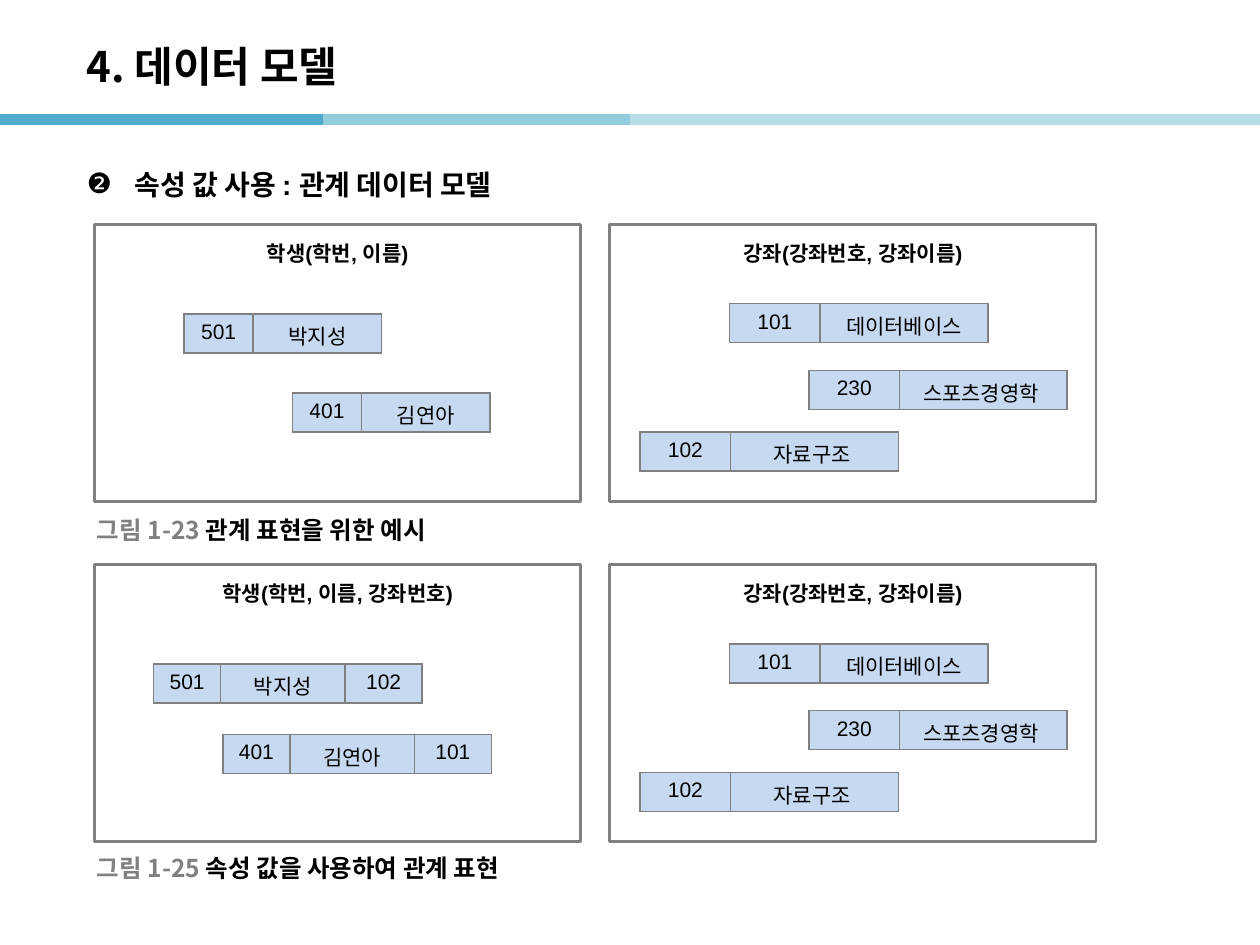
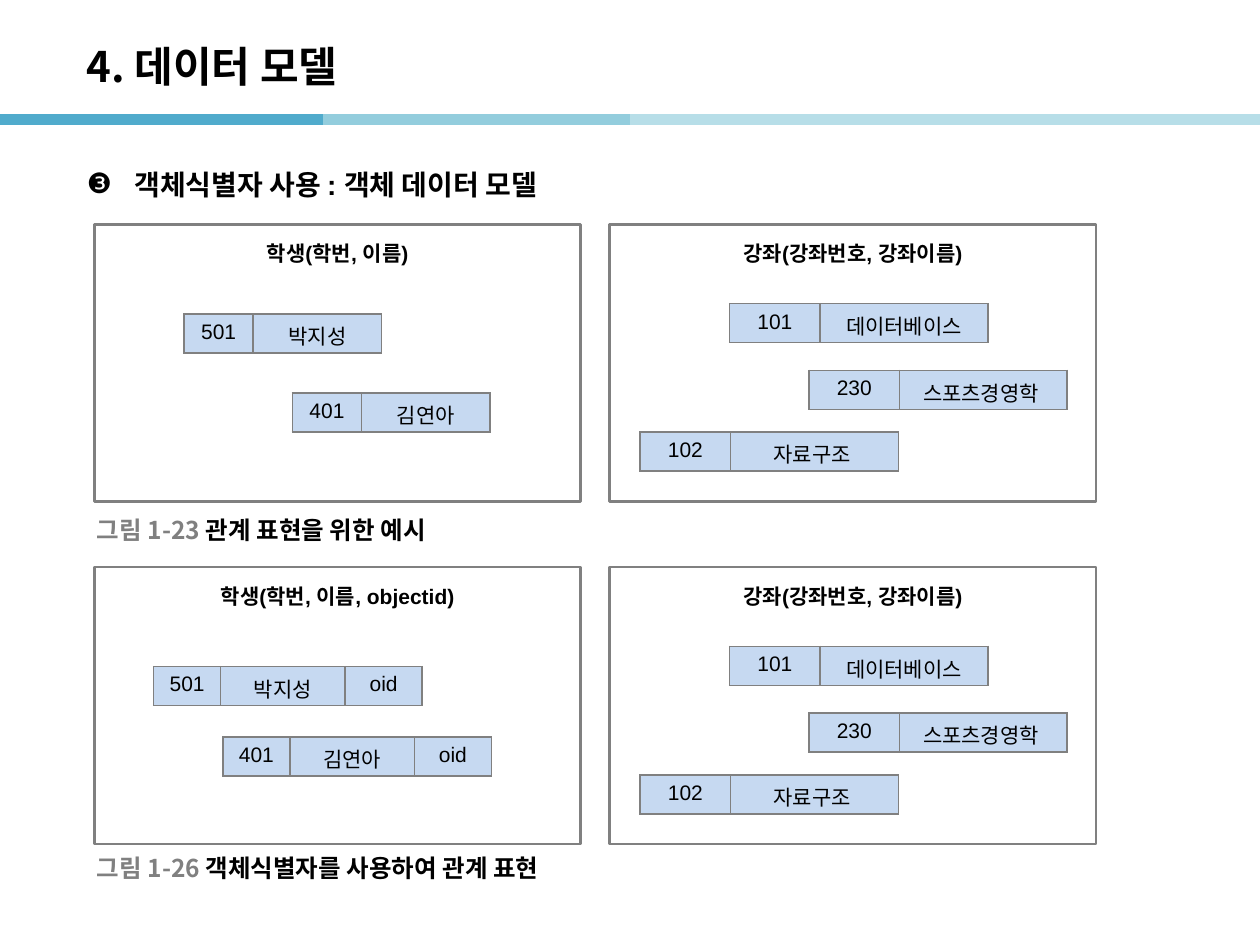
from lxml import etree
from pptx import Presentation
from pptx.dml.color import RGBColor
from pptx.enum.shapes import MSO_CONNECTOR, MSO_SHAPE
from pptx.enum.text import MSO_ANCHOR, PP_ALIGN
from pptx.oxml.ns import qn
from pptx.util import Inches, Pt

BLACK = RGBColor(0x00, 0x00, 0x00)
GRAY = RGBColor(0x80, 0x80, 0x80)
WHITE = RGBColor(0xFF, 0xFF, 0xFF)
CELL_BLUE = RGBColor(0xC6, 0xD9, 0xF1)
BAND_DARK = RGBColor(0x50, 0xAB, 0xCC)
BAND_MIDDLE = RGBColor(0x93, 0xCD, 0xDD)
BAND_LIGHT = RGBColor(0xB7, 0xDE, 0xE8)
LATIN_FONT = "Arial"
KOREAN_FONT = "Noto Sans CJK KR"

UNIT = Inches(0.1)
PAGE_COLUMNS, PAGE_ROWS = 100, 75
TITLE_BOX = (5.9, 2.2, 82.7, 6)
TOPIC_BOX = (5.9, 11.9, 88.2, 5.5)
BAND_ROW = 9.5
BAND_STOPS = (0, 25.6, 50, 75, 100)
BAND_COLORS = (BAND_DARK, BAND_MIDDLE, BAND_LIGHT, BAND_LIGHT)
PANEL_LEFTS = (7.5, 48.4)
PANEL_SIZE = (38.6, 22)
CAPTION_LEFT = 6.7
CAPTION_SIZE = (60, 3.1)
RECORD_HEIGHT = 3.1

STUDENTS = (
    "학생(학번, 이름)",
    (5.5, 10.2),
    ((7.1, 7.1, ("501", "박지성")), (15.7, 13.4, ("401", "김연아"))),
)
COURSES = (
    "강좌(강좌번호, 강좌이름)",
    (7.2, 13.3),
    (
        (9.5, 6.3, ("101", "데이터베이스")),
        (15.8, 11.6, ("230", "스포츠경영학 ")),
        (2.4, 16.5, ("102", "자료구조 ")),
    ),
)


def linked_students(link_name, links):
    first, second = links
    return (
        f"학생(학번, 이름, {link_name})",
        (5.3, 9.9, 6.1),
        (
            (4.7, 7.9, ("501", "박지성", first)),
            (10.2, 13.5, ("401", "김연아", second)),
        ),
    )


def grid(*lengths):
    return [round(length * UNIT) for length in lengths]


def add_span(para, text, size, color=BLACK, bold=False, latin=LATIN_FONT):
    span = para.add_run()
    span.text = text
    font = span.font
    font.size, font.bold, font.name = Pt(size), bold, latin
    font.color.rgb = color
    etree.SubElement(span.font._element, qn("a:ea"), typeface=KOREAN_FONT)


def add_text_box(page, box, anchor):
    frame = page.shapes.add_textbox(*grid(*box)).text_frame
    frame.word_wrap = True
    frame.vertical_anchor = anchor
    return frame


def add_band(page):
    for start, end, color in zip(BAND_STOPS, BAND_STOPS[1:], BAND_COLORS):
        stripe = page.shapes.add_connector(
            MSO_CONNECTOR.STRAIGHT, *grid(start, BAND_ROW, end, BAND_ROW)
        )
        stripe.line.color.rgb = color
        stripe.line.width = Pt(6)
        etree.SubElement(stripe._element.spPr, qn("a:effectLst"))


def add_title(page, box):
    frame = add_text_box(page, box, MSO_ANCHOR.MIDDLE)
    add_span(frame.paragraphs[0], "4. 데이터 모델", 24, bold=True, latin=KOREAN_FONT)


def add_topic(page, box, bullet, text):
    frame = add_text_box(page, box, MSO_ANCHOR.TOP)
    frame.margin_top = Inches(0.14)
    para = frame.paragraphs[0]
    properties = para._p.get_or_add_pPr()
    properties.set("marL", str(Inches(0.38)))
    properties.set("indent", str(-Inches(0.38)))
    etree.SubElement(properties, qn("a:buFont"), typeface=LATIN_FONT)
    etree.SubElement(properties, qn("a:buChar"), char=bullet)
    add_span(para, text, 16, bold=True)


def add_caption(page, box, number, text):
    para = add_text_box(page, box, MSO_ANCHOR.MIDDLE).paragraphs[0]
    add_span(para, f"그림 {number} ", 14, GRAY, True, KOREAN_FONT)
    add_span(para, text, 14, BLACK, True, KOREAN_FONT)


def add_cell_borders(cell):
    properties = cell._tc.get_or_add_tcPr()
    for side in ("lnL", "lnR", "lnT", "lnB"):
        line = etree.SubElement(properties, qn(f"a:{side}"), w=str(Pt(1)))
        fill = etree.SubElement(line, qn("a:solidFill"))
        etree.SubElement(fill, qn("a:srgbClr"), val=str(GRAY))


def add_record(page, box, columns, values):
    table = page.shapes.add_table(1, len(columns), *grid(*box)).table
    table.first_row = table.horz_banding = False
    for index, (width, value) in enumerate(zip(columns, values)):
        table.columns[index].width = round(width * UNIT)
        cell = table.cell(0, index)
        add_cell_borders(cell)
        cell.fill.solid()
        cell.fill.fore_color.rgb = CELL_BLUE
        para = cell.text_frame.paragraphs[0]
        para.alignment = PP_ALIGN.CENTER
        add_span(para, value, 12)


def add_panel(page, box, relation):
    heading, columns, records = relation
    panel = page.shapes.add_shape(MSO_SHAPE.RECTANGLE, *grid(*box))
    panel.shadow.inherit = False
    panel.fill.solid()
    panel.fill.fore_color.rgb = WHITE
    panel.line.color.rgb = GRAY
    panel.line.width = Pt(1.5)
    frame = panel.text_frame
    frame.vertical_anchor = MSO_ANCHOR.TOP
    frame.margin_top = Inches(0.13)
    para = frame.paragraphs[0]
    para.alignment = PP_ALIGN.CENTER
    add_span(para, heading, 12, bold=True)
    left, top = box[:2]
    for across, down, values in records:
        record_box = (left + across, top + down, sum(columns), RECORD_HEIGHT)
        add_record(page, record_box, columns, values)


def add_figure(page, top, caption_top, relations, number, caption):
    for left, relation in zip(PANEL_LEFTS, relations):
        add_panel(page, (left, top, *PANEL_SIZE), relation)
    add_caption(page, (CAPTION_LEFT, caption_top, *CAPTION_SIZE), number, caption)


def add_model_page(deck, bullet, topic, lower_top, students, number, caption):
    page = deck.slides.add_slide(deck.slide_layouts[6])
    add_band(page)
    add_title(page, TITLE_BOX)
    add_topic(page, TOPIC_BOX, bullet, topic)
    add_figure(page, 17.8, 40.5, (STUDENTS, COURSES), "1-23", "관계 표현을 위한 예시")
    add_figure(page, lower_top, 67.3, (students, COURSES), number, caption)


def main():
    deck = Presentation()
    deck.slide_width, deck.slide_height = grid(PAGE_COLUMNS, PAGE_ROWS)
    add_model_page(
        deck, "❷", "속성 값 사용 : 관계 데이터 모델", 44.8,
        linked_students("강좌번호", ("102", "101")),
        "1-25", "속성 값을 사용하여 관계 표현",
    )
    add_model_page(
        deck, "❸", "객체식별자 사용 : 객체 데이터 모델", 45,
        linked_students("objectid", ("oid", "oid")),
        "1-26", "객체식별자를 사용하여 관계 표현",
    )
    deck.save("out.pptx")


if __name__ == "__main__":
    main()
